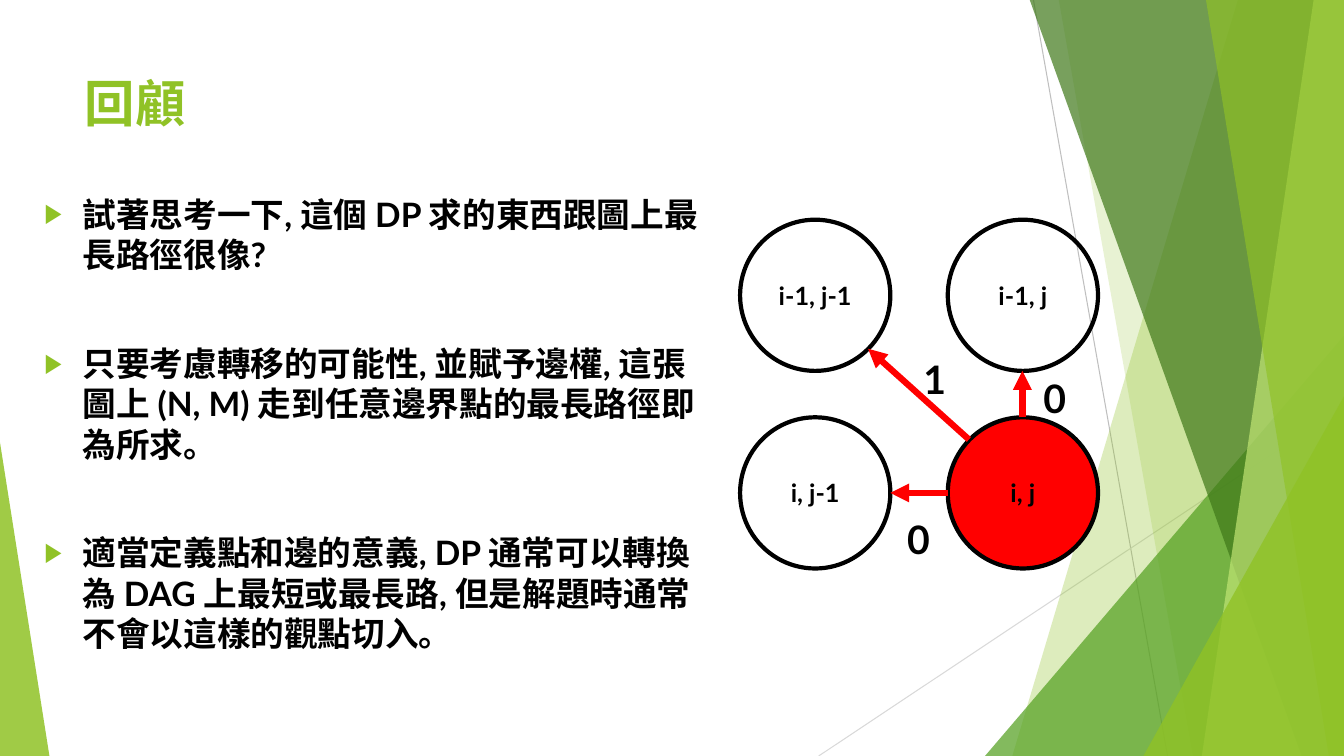
from dataclasses import dataclass
from typing import Optional

from lxml import etree
from pptx import Presentation
from pptx import util as u
from pptx.dml.color import RGBColor
from pptx.enum import shapes, text
from pptx.oxml import ns

PX = 9144  # EMU per px, 100 px to the inch
FONT = "Lato"
COLORS = {
    "black": "000000", "red": "FF0000", "lime": "90C226", "green": "54A021",
    "forest": "3F7819", "pale": "C0E474", "grey": "BFBFBF", "silver": "D9D9D9",
}


@dataclass
class Line:
    start: tuple[int, int]
    end: tuple[int, int]
    color: str
    width: float
    arrow: bool = False


@dataclass
class Facet:
    points: list[tuple[int, int]]
    color: str
    alpha: int


@dataclass
class Corner:
    left: int
    top: int
    width: int
    height: int
    apex: float
    color: str
    alpha: int


@dataclass
class Node:
    label: str
    column: int
    row: int
    fill: Optional[str] = None


@dataclass
class Weight:
    label: str
    left: int
    top: int


def band(top_left: int, bottom_right: int, bottom_left: int = 0) -> list[tuple[int, int]]:
    """Outline that runs along the right slide edge."""
    bottom = bottom_left or bottom_right
    return [(top_left, -1), (1333, -1), (1333, 750), (bottom, 750)]


BACK_LINES = [
    Line((1025, 0), (1158, 750), "grey", 0.75),
    Line((1333, 403), (812, 750), "silver", 0.75),
]
DECORATIONS = [
    Facet(band(1228, 1004), "lime", 30),
    Facet(band(1050, 1183), "lime", 20),
    Corner(977, 333, 356, 417, 1, "green", 72),
    Facet(band(1021, 1291), "forest", 70),
    Facet(band(1303, 1192), "pale", 70),
    Facet(band(1196, 1318), "lime", 65),
    Corner(1134, 393, 199, 357, 1, "lime", 80),
    Corner(0, 439, 49, 311, 0, "lime", 85),
]
POINTS = [
    "試著思考一下, 這個 DP 求的東西跟圖上最長路徑很像?",
    "只要考慮轉移的可能性, 並賦予邊權, 這張圖上 (N, M) 走到任意邊界點的最長路徑即為所求。",
    "適當定義點和邊的意義, DP 通常可以轉換為 DAG 上最短或最長路, 但是解題時通常不會以這樣的觀點切入。",
]
NODES = [
    Node("i-1, j", 1, 0),
    Node("i, j", 1, 1, "red"),
    Node("i, j-1", 0, 1),
    Node("i-1, j-1", 0, 0),
]
ARROWS = [
    Line((1014, 414), (1014, 368), "red", 4.5, True),
    Line((940, 489), (883, 489), "red", 4.5, True),
    Line((961, 436), (861, 346), "red", 4.5, True),
]
WEIGHTS = [Weight("1", 906, 348), Weight("0", 890, 506), Weight("0", 1025, 366)]


def rgb(name: str) -> RGBColor:
    return RGBColor.from_string(COLORS[name])


def box(*lengths: int) -> list[int]:
    return [length * PX for length in lengths]


def style(paragraph, size: int, color: str = "black") -> None:
    for run in paragraph.runs:
        run.font.name, run.font.size, run.font.bold = FONT, u.Pt(size), True
        run.font.color.rgb = rgb(color)


def draw_line(slide, line: Line) -> None:
    connector = slide.shapes.add_connector(
        shapes.MSO_CONNECTOR.STRAIGHT, *box(*line.start, *line.end))
    connector.line.color.rgb = rgb(line.color)
    connector.line.width = u.Pt(line.width)
    properties = connector.element.spPr
    if line.arrow:
        etree.SubElement(properties.find(ns.qn("a:ln")), ns.qn("a:tailEnd"), type="triangle")
    etree.SubElement(properties, ns.qn("a:effectLst"))


def draw_decoration(slide, item: Facet | Corner) -> None:
    if isinstance(item, Facet):
        builder = slide.shapes.build_freeform(*item.points[0], scale=float(PX))
        builder.add_line_segments(item.points[1:], close=True)
        shape = builder.convert_to_shape()
    else:
        shape = slide.shapes.add_shape(
            shapes.MSO_SHAPE.ISOSCELES_TRIANGLE,
            *box(item.left, item.top, item.width, item.height))
        shape.adjustments[0] = item.apex
    shape.shadow.inherit = False
    shape.line.fill.background()
    shape.fill.solid()
    shape.fill.fore_color.rgb = rgb(item.color)
    color = shape.element.spPr.find(ns.qn("a:solidFill"))[0]
    etree.SubElement(color, ns.qn("a:alpha"), val=str(item.alpha * 1000))


def place(placeholder, left: int, top: int, width: int, height: int) -> None:
    """Moves a placeholder into position and in front of the decoration."""
    (placeholder.left, placeholder.top,
     placeholder.width, placeholder.height) = box(left, top, width, height)
    placeholder.element.getparent().append(placeholder.element)
    frame = placeholder.text_frame
    frame.auto_size = text.MSO_AUTO_SIZE.NONE
    frame.vertical_anchor = text.MSO_ANCHOR.TOP


def add_bullet(paragraph) -> None:
    properties = paragraph._p.get_or_add_pPr()
    properties.set("marL", str(38 * PX))
    properties.set("indent", str(-38 * PX))
    color = etree.SubElement(properties, ns.qn("a:buClr"))
    etree.SubElement(color, ns.qn("a:srgbClr"), val=COLORS["lime"])
    etree.SubElement(properties, ns.qn("a:buSzPct"), val="80000")
    etree.SubElement(properties, ns.qn("a:buChar"), char="▶")


def draw_node(slide, node: Node) -> None:
    shape = slide.shapes.add_shape(
        shapes.MSO_SHAPE.OVAL,
        *box(734 + 206 * node.column, 218 + 196 * node.row, 149, 150))
    shape.shadow.inherit = False
    shape.line.color.rgb = rgb("black")
    shape.line.width = u.Pt(3)
    if node.fill:
        shape.fill.solid()
        shape.fill.fore_color.rgb = rgb(node.fill)
    else:
        shape.fill.background()
    frame = shape.text_frame
    frame.text = node.label
    frame.vertical_anchor = text.MSO_ANCHOR.MIDDLE
    frame.paragraphs[0].alignment = text.PP_ALIGN.CENTER
    style(frame.paragraphs[0], 18)


def draw_weight(slide, weight: Weight) -> None:
    frame = slide.shapes.add_textbox(*box(weight.left, weight.top, 43, 57)).text_frame
    frame.text = weight.label
    style(frame.paragraphs[0], 28)


def main() -> None:
    presentation = Presentation()
    presentation.slide_width, presentation.slide_height = box(1333, 750)
    slide = presentation.slides.add_slide(presentation.slide_layouts[1])
    title, body = slide.placeholders

    # Background
    for line in BACK_LINES:
        draw_line(slide, line)
    for item in DECORATIONS:
        draw_decoration(slide, item)

    # Title and list
    place(body, 34, 187, 682, 533)
    body.text_frame.text = "\n".join(POINTS)
    for index, paragraph in enumerate(body.text_frame.paragraphs):
        add_bullet(paragraph)
        paragraph.space_before = u.Pt(49 if index else 0)
        style(paragraph, 24)
    place(title, 74, 67, 940, 144)
    title.text_frame.text = "回顧"
    title.text_frame.paragraphs[0].alignment = text.PP_ALIGN.LEFT
    style(title.text_frame.paragraphs[0], 36, "lime")

    # Transition graph
    for node in NODES:
        draw_node(slide, node)
    for arrow in ARROWS:
        draw_line(slide, arrow)
    for weight in WEIGHTS:
        draw_weight(slide, weight)

    presentation.save("out.pptx")


if __name__ == "__main__":
    main()
